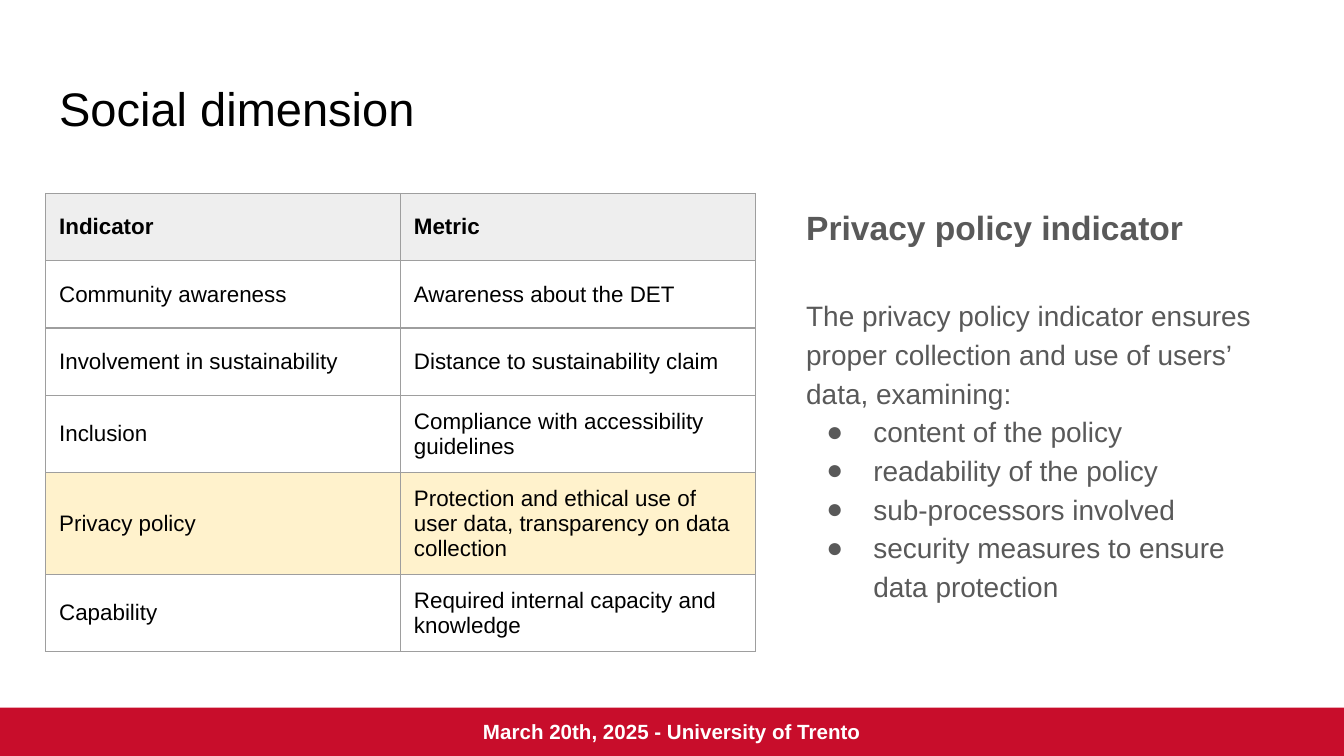
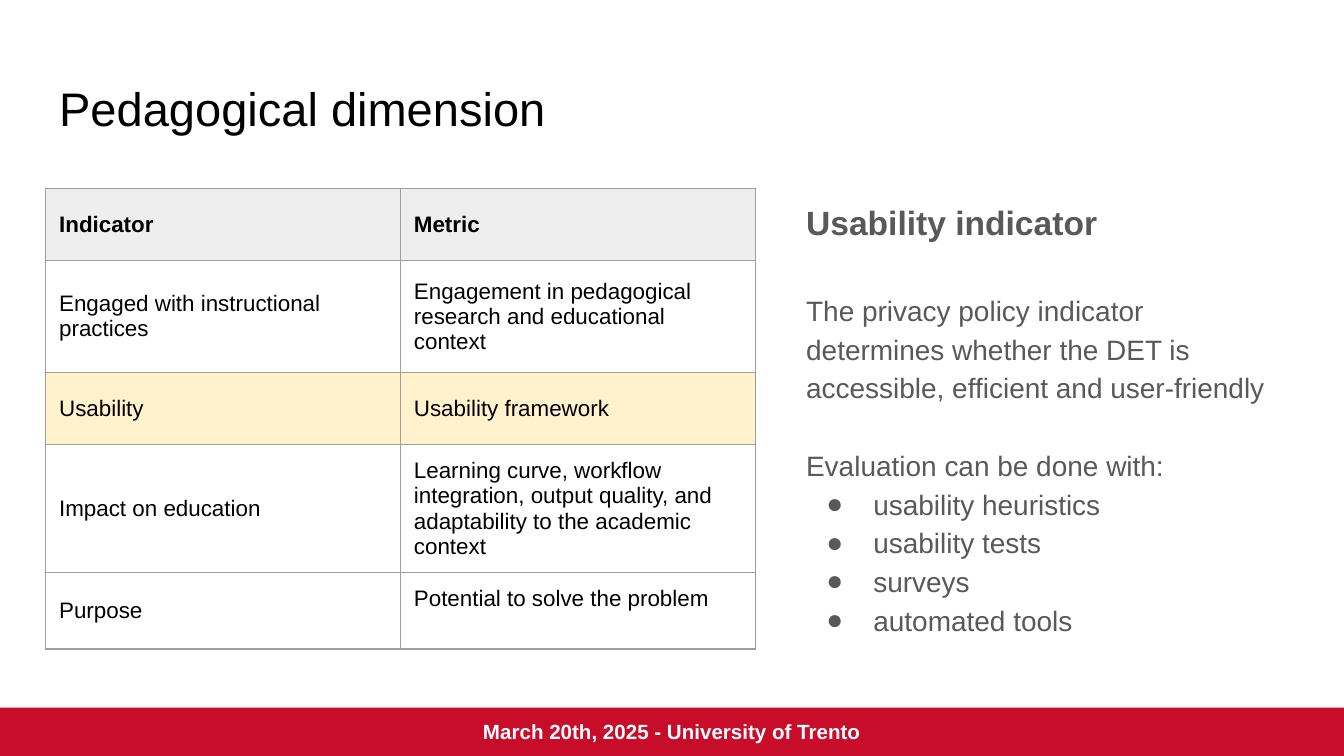
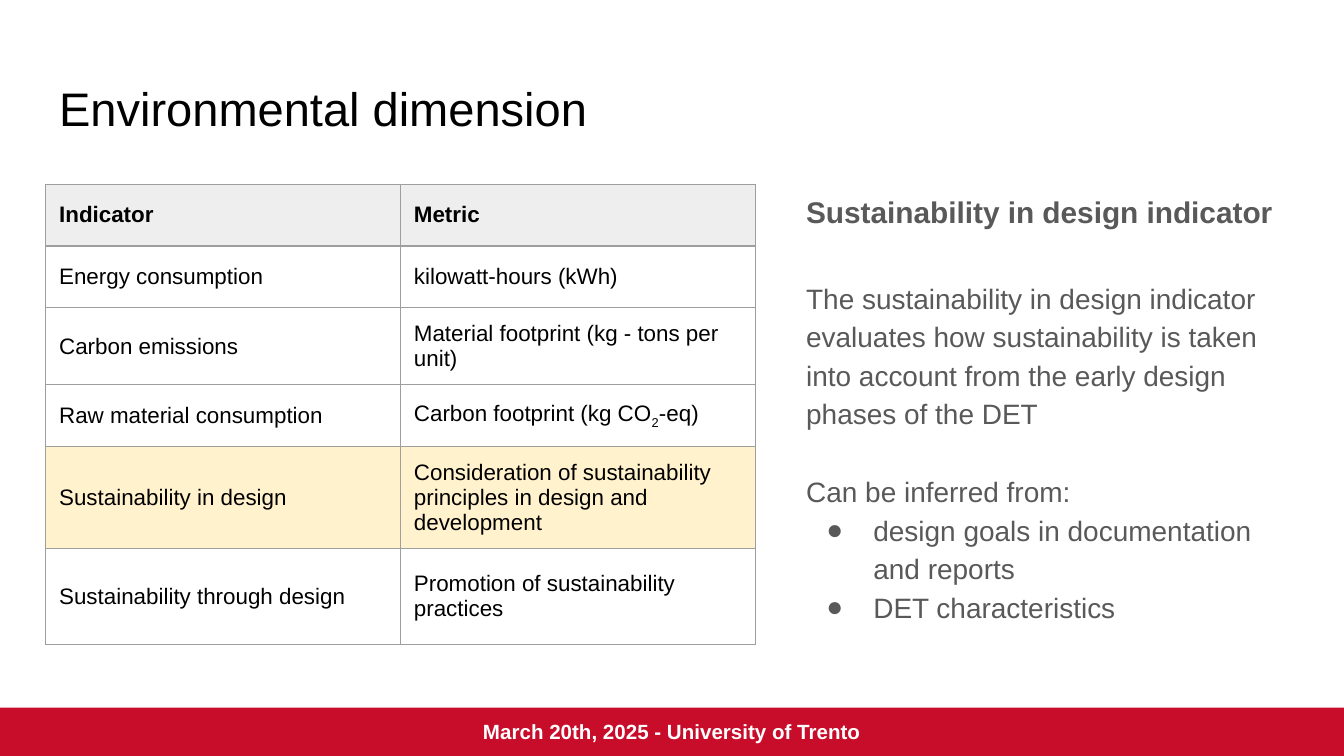
from lxml import etree
from pptx import Presentation
from pptx.dml.color import RGBColor
from pptx.enum.shapes import MSO_SHAPE
from pptx.enum.text import MSO_ANCHOR, MSO_AUTO_SIZE, PP_ALIGN
from pptx.oxml.ns import qn
from pptx.util import Inches, Pt

RECT = MSO_SHAPE.RECTANGLE
TOP, MIDDLE = MSO_ANCHOR.TOP, MSO_ANCHOR.MIDDLE
LEFT, CENTER = PP_ALIGN.LEFT, PP_ALIGN.CENTER
NO_FIT = MSO_AUTO_SIZE.NONE

# Shared style
FONT = "Arial"
BLACK, WHITE, GRAY, RED = "000000", "FFFFFF", "595959", "C80D2B"
HEAD, MARK, RULE = "EEEEEE", "FFF2CC", "9E9E9E"
FOOTER = "March 20th, 2025 - University of Trento"
WIDTH = 10
HEIGHT = WIDTH * 9 / 16
EDGE, COL, BAND = 0.34, 2.64, 0.36

# Content: a row is (indicator, metric, height); in a tuple of text parts,
# every second part is a subscript. A side block is (text, bullets).
SLIDES = [
    {
        "title": "Social dimension",
        "top": 1.44,
        "marked": "Privacy policy",
        "rows": [
            ("Indicator", "Metric", 0.5),
            ("Community awareness", "Awareness about the DET", 0.5),
            ("Involvement in sustainability", "Distance to sustainability claim", 0.5),
            ("Inclusion", "Compliance with accessibility guidelines", 0.57),
            ("Privacy policy", "Protection and ethical use of user data, "
             "transparency on data collection", 0.76),
            ("Capability", "Required internal capacity and knowledge", 0.57),
        ],
        "side": (1.44, 3.49),
        "head": ("Privacy policy indicator", 18),
        "blocks": [
            ("The privacy policy indicator ensures proper collection and use "
             "of users’ data, examining:",
             ["content of the policy", "readability of the policy",
              "sub-processors involved",
              "security measures to ensure data protection"]),
        ],
    },
    {
        "title": "Pedagogical dimension",
        "top": 1.4,
        "marked": "Usability",
        "raised": "Potential to solve the problem",
        "rows": [
            ("Indicator", "Metric", 0.54),
            ("Engaged with instructional practices", "Engagement in pedagogical "
             "research and educational context", 0.83),
            ("Usability", "Usability framework", 0.54),
            ("Impact on education", "Learning curve, workflow integration, output "
             "quality, and adaptability to the academic context", 0.95),
            ("Purpose", "Potential to solve the problem", 0.57),
        ],
        "side": (1.4, 3.51),
        "head": ("Usability indicator", 18),
        "blocks": [
            ("The privacy policy indicator determines whether the DET is "
             "accessible, efficient and user-friendly", []),
            ("Evaluation can be done with:",
             ["usability heuristics", "usability tests", "surveys",
              "automated tools"]),
        ],
    },
    {
        "title": "Environmental dimension",
        "top": 1.37,
        "marked": "Sustainability in design",
        "rows": [
            ("Indicator", "Metric", 0.46),
            ("Energy consumption", "kilowatt-hours (kWh)", 0.46),
            ("Carbon emissions", "Material footprint (kg - tons per unit)", 0.57),
            ("Raw material consumption", ("Carbon footprint (kg CO", "2", "-eq)"), 0.46),
            ("Sustainability in design", "Consideration of sustainability "
             "principles in design and development", 0.76),
            ("Sustainability through design", "Promotion of sustainability practices",
             0.71),
        ],
        "side": (1.34, 3.5),
        "head": ("Sustainability in design indicator", 16),
        "blocks": [
            ("The sustainability in design indicator evaluates how sustainability "
             "is taken into account from the early design phases of the DET", []),
            ("Can be inferred from:",
             ["design goals in documentation and reports",
              "DET characteristics"]),
        ],
    },
]


def color(code):
    return RGBColor.from_string(code)


def box(left, top, width, height):
    return [Inches(n) for n in (left, top, width, height)]


def add_bullet(para, size, tint):
    props = para._p.get_or_add_pPr()
    props.set("marL", str(Inches(0.5)))
    props.set("indent", str(-Inches(0.35)))
    clr = etree.SubElement(props, qn("a:buClr"))
    etree.SubElement(clr, qn("a:srgbClr"), val=tint)
    etree.SubElement(props, qn("a:buSzPts"), val=str(size * 100))
    etree.SubElement(props, qn("a:buFont"), typeface=FONT)
    etree.SubElement(props, qn("a:buChar"), char="●")


def write(frame, text, size=12, tint=BLACK, bold=False, align=LEFT,
          lines=None, before=0, bullet=False):
    """Fill the first paragraph if it is free, else add one."""
    para = frame.paragraphs[0]
    if para.runs:
        para = frame.add_paragraph()
    para.alignment = align
    para.space_before = Pt(before)
    if lines:
        para.line_spacing = lines
    if bullet:
        add_bullet(para, size, tint)
    parts = (text,) if isinstance(text, str) else text
    for i, part in enumerate(parts):
        run = para.add_run()
        run.text = part
        font = run.font
        font.name, font.size, font.bold = FONT, Pt(size), bold
        font.color.rgb = color(tint)
        if i % 2:
            run._r.get_or_add_rPr().set("baseline", "-25000")


def set_frame(frame, anchor=TOP):
    frame.word_wrap = True
    frame.auto_size = NO_FIT
    frame.vertical_anchor = anchor
    frame.margin_left = frame.margin_right = Inches(0.1)
    frame.margin_top = frame.margin_bottom = Inches(0.1)
    return frame


def add_title(slide, text):
    title = slide.shapes.title
    title.left, title.top, title.width, title.height = box(
        EDGE, 0.49, WIDTH - 2 * EDGE, 0.63)
    write(set_frame(title.text_frame), text, size=25.2)


def add_borders(cell):
    props = cell._tc.get_or_add_tcPr()
    for side in ("lnL", "lnR", "lnT", "lnB"):
        line = etree.SubElement(props, qn("a:" + side), w=str(Pt(0.75)))
        fill = etree.SubElement(line, qn("a:solidFill"))
        etree.SubElement(fill, qn("a:srgbClr"), val=RULE)


def add_grid(slide, data):
    rows = data["rows"]
    total = sum(row[2] for row in rows)
    table = slide.shapes.add_table(
        len(rows), 2, *box(EDGE, data["top"], 2 * COL, total)).table
    table.first_row = table.horz_banding = False
    for r, (name, metric, height) in enumerate(rows):
        table.rows[r].height = Inches(height)
        shade = HEAD if r == 0 else MARK if name == data["marked"] else None
        for c, text in enumerate((name, metric)):
            cell = table.cell(r, c)
            cell.margin_left = cell.margin_right = Inches(0.1)
            cell.margin_top = cell.margin_bottom = Inches(0.1)
            cell.vertical_anchor = TOP if text == data.get("raised") else MIDDLE
            add_borders(cell)
            if shade:
                cell.fill.solid()
                cell.fill.fore_color.rgb = color(shade)
            else:
                cell.fill.background()
            write(cell.text_frame, text, bold=r == 0)


def add_footer(slide):
    band = slide.shapes.add_shape(RECT, *box(0, HEIGHT - BAND, WIDTH, BAND))
    band.shadow.inherit = False
    band.fill.solid()
    band.fill.fore_color.rgb = color(RED)
    band.line.fill.background()
    write(set_frame(band.text_frame, MIDDLE), FOOTER, size=11, tint=WHITE,
          bold=True, align=CENTER)


def add_side(slide, data):
    top, height = data["side"]
    area = slide.shapes.add_textbox(*box(5.9, top, 3.76, height))
    frame = set_frame(area.text_frame)
    head, size = data["head"]
    write(frame, head, size=size, tint=GRAY, bold=True)
    body = {"size": 15, "tint": GRAY, "lines": 1.15}
    for i, (text, items) in enumerate(data["blocks"]):
        write(frame, text, before=21 if i else 25, **body)
        for item in items:
            write(frame, item, bullet=True, **body)


def main():
    deck = Presentation()
    deck.slide_width, deck.slide_height = Inches(WIDTH), Inches(HEIGHT)
    layout = deck.slide_layouts[5]
    for data in SLIDES:
        slide = deck.slides.add_slide(layout)
        add_title(slide, data["title"])
        add_grid(slide, data)
        add_footer(slide)
        add_side(slide, data)
    deck.save("out.pptx")


if __name__ == "__main__":
    main()
